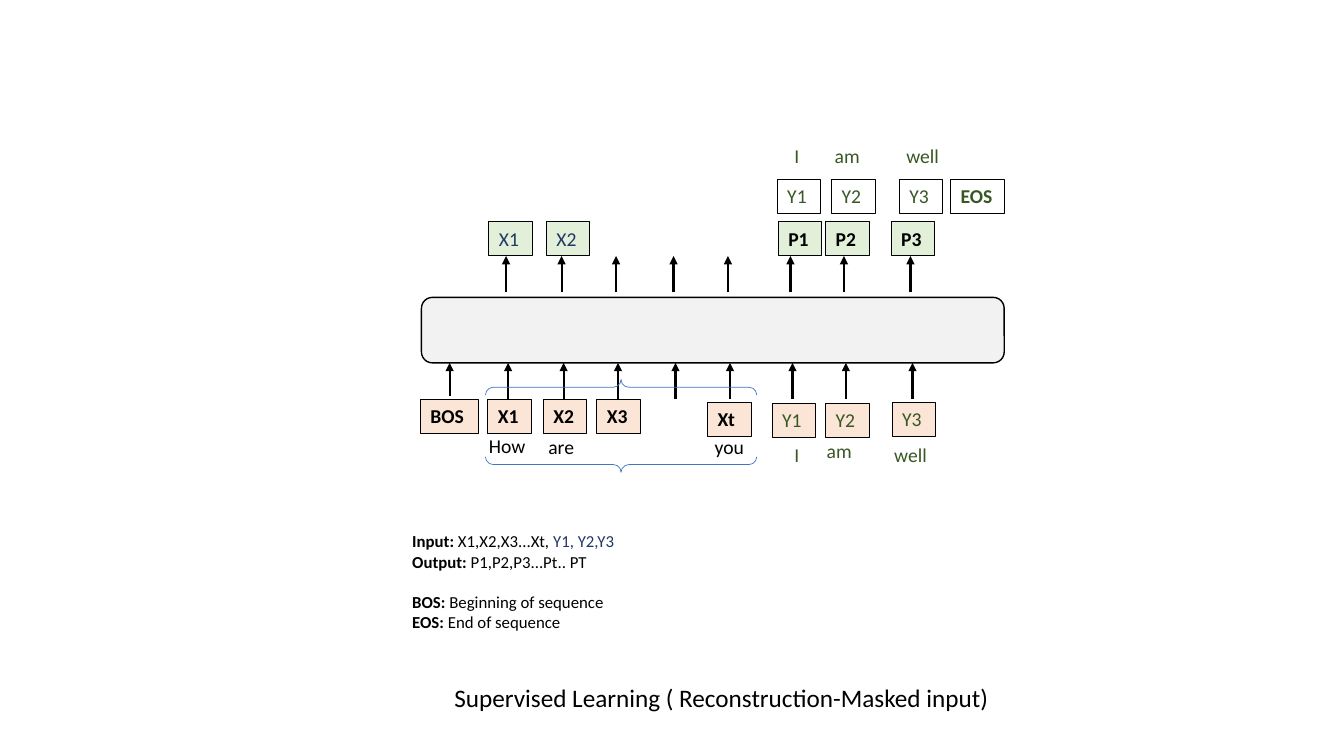
from dataclasses import dataclass
from typing import Optional

from lxml import etree
from pptx import Presentation
from pptx.dml.color import RGBColor
from pptx.enum.shapes import MSO_CONNECTOR, MSO_SHAPE
from pptx.enum.text import MSO_ANCHOR, MSO_AUTO_SIZE, PP_ALIGN
from pptx.oxml.ns import qn
from pptx.shapes.autoshape import Shape
from pptx.slide import Slide
from pptx.util import Inches, Pt

RECTANGLE = MSO_SHAPE.RECTANGLE
ROUNDED = MSO_SHAPE.ROUNDED_RECTANGLE
BRACES = MSO_SHAPE.DOUBLE_BRACE
STRAIGHT = MSO_CONNECTOR.STRAIGHT
LEFT, CENTER = PP_ALIGN.LEFT, PP_ALIGN.CENTER
TOP, MIDDLE = MSO_ANCHOR.TOP, MSO_ANCHOR.MIDDLE
NO_AUTOSIZE = MSO_AUTO_SIZE.NONE

BLACK = RGBColor(0x00, 0x00, 0x00)
WHITE = RGBColor(0xFF, 0xFF, 0xFF)
GRAY = RGBColor(0xF2, 0xF2, 0xF2)
PEACH = RGBColor(0xFB, 0xE5, 0xD6)
MINT = RGBColor(0xE2, 0xF0, 0xD9)
GREEN = RGBColor(0x38, 0x57, 0x23)
NAVY = RGBColor(0x1F, 0x38, 0x64)
BLUE = RGBColor(0x44, 0x72, 0xC4)

FONT = "Calibri"
TOKEN_WIDTH, TOKEN_HEIGHT = 0.43, 0.34
WORD_WIDTH = 0.58


@dataclass(frozen=True)
class Token:
    text: str
    left: float
    top: float
    fill: Optional[RGBColor]
    color: RGBColor = BLACK
    bold: bool = False
    width: float = TOKEN_WIDTH
    line: Optional[RGBColor] = BLACK


@dataclass(frozen=True)
class Definition:
    term: str
    meaning: str
    accent: str = ""
    space_before: float = 0


INPUT_TOKENS = [
    Token("BOS", 4.17, 3.96, PEACH, bold=True, width=0.58),
    Token("X1", 4.84, 3.96, PEACH, bold=True),
    Token("X2", 5.39, 3.96, PEACH, bold=True),
    Token("X3", 5.92, 3.96, PEACH, bold=True),
    Token("Xt", 7.02, 3.99, PEACH, bold=True),
    Token("Y1", 7.66, 4, PEACH, GREEN),
    Token("Y2", 8.19, 4, PEACH, GREEN),
    Token("Y3", 8.85, 3.99, PEACH, GREEN),
]
OUTPUT_TOKENS = [
    Token("X1", 4.85, 2.2, MINT, NAVY),
    Token("X2", 5.42, 2.2, MINT, NAVY),
    Token("P1", 7.72, 2.2, MINT, bold=True),
    Token("P2", 8.19, 2.2, MINT, bold=True),
    Token("P3", 8.84, 2.2, MINT, bold=True),
]
TARGET_TOKENS = [
    Token("Y1", 7.71, 1.78, None, GREEN),
    Token("Y2", 8.25, 1.78, None, GREEN),
    Token("Y3", 8.92, 1.78, None, GREEN),
    Token("EOS", 9.43, 1.78, WHITE, GREEN, True, 0.53),
]
WORDS = [
    Token("How", 4.75, 4.26, None, width=WORD_WIDTH, line=None),
    Token("are", 5.34, 4.27, None, width=WORD_WIDTH, line=None),
    Token("you", 6.99, 4.27, None, width=WORD_WIDTH, line=None),
    Token("I", 7.78, 4.34, None, GREEN, width=0.3, line=None),
    Token("am", 8.1, 4.31, None, GREEN, width=WORD_WIDTH, line=None),
    Token("well", 8.77, 4.34, None, GREEN, width=WORD_WIDTH, line=None),
    Token("I", 7.78, 1.38, None, GREEN, width=0.3, line=WHITE),
    Token("am", 8.18, 1.38, None, GREEN, width=WORD_WIDTH, line=WHITE),
    Token("well", 8.89, 1.38, None, GREEN, width=WORD_WIDTH, line=WHITE),
]
DEFINITIONS = [
    Definition("Input:", " X1,X2,X3...Xt, ", "Y1, Y2,Y3"),
    Definition("Output:", " P1,P2,P3...Pt.. PT"),
    Definition("BOS:", " Beginning of sequence", space_before=14.65),
    Definition("EOS:", " End of sequence"),
]
ARROW_CENTERS = [5.04, 5.59, 6.13, 6.7, 7.24, 7.86, 8.39, 9.05]
OUTPUT_SHIFT = -0.02


def add_outline(page: Slide, kind: MSO_SHAPE, left: float, top: float, width: float,
                height: float, fill: Optional[RGBColor], line: Optional[RGBColor],
                weight: float) -> Shape:
    box = page.shapes.add_shape(kind, Inches(left), Inches(top), Inches(width), Inches(height))
    box.shadow.inherit = False
    if fill is None:
        box.fill.background()
    else:
        box.fill.solid()
        box.fill.fore_color.rgb = fill
    if line is None:
        box.line.fill.background()
    else:
        box.line.color.rgb = line
        box.line.width = Pt(weight)
    return box


def add_token(page: Slide, token: Token) -> None:
    box = add_outline(page, RECTANGLE, token.left, token.top, token.width, TOKEN_HEIGHT,
                      token.fill, token.line, 0.75)
    frame = box.text_frame
    frame.word_wrap = True
    frame.margin_right = 0
    frame.vertical_anchor = TOP
    para = frame.paragraphs[0]
    para.text = token.text
    para.alignment = LEFT
    para.font.name = FONT
    para.font.size = Pt(14)
    para.font.bold = token.bold
    para.font.color.rgb = token.color


def add_arrow(page: Slide, center: float, bottom: float, tip: float) -> None:
    arrow = page.shapes.add_connector(STRAIGHT, Inches(center), Inches(bottom),
                                      Inches(center), Inches(tip))
    arrow.line.color.rgb = BLACK
    arrow.line.width = Pt(1.5)
    etree.SubElement(arrow.line._get_or_add_ln(), qn("a:tailEnd"), type="triangle")
    etree.SubElement(arrow._element.spPr, qn("a:effectLst"))


def add_definitions(page: Slide) -> None:
    box = page.shapes.add_textbox(Inches(3.99), Inches(5.22), Inches(4.21), Inches(1.11))
    frame = box.text_frame
    frame.word_wrap = True
    for index, definition in enumerate(DEFINITIONS):
        para = frame.paragraphs[0] if index == 0 else frame.add_paragraph()
        para.font.name = FONT
        para.font.size = Pt(12)
        if definition.space_before:
            para.space_before = Pt(definition.space_before)
        parts = [(definition.term, True, BLACK), (definition.meaning, False, BLACK),
                 (definition.accent, False, NAVY)]
        for text, bold, color in parts:
            if text:
                span = para.add_run()
                span.text = text
                span.font.bold = bold
                span.font.color.rgb = color


def set_title(page: Slide) -> None:
    title = page.shapes.title
    title.left, title.top = Inches(4.12), Inches(6.72)
    title.width, title.height = Inches(6.07), Inches(0.4)
    frame = title.text_frame
    frame.text = "Supervised Learning ( Reconstruction-Masked input)"
    frame.word_wrap = True
    frame.auto_size = NO_AUTOSIZE
    frame.vertical_anchor = MIDDLE
    para = frame.paragraphs[0]
    para.alignment = CENTER
    para.font.name = FONT
    para.font.size = Pt(18)
    para.font.color.rgb = BLACK


def main() -> None:
    deck = Presentation()
    deck.slide_width, deck.slide_height = Inches(13.33), Inches(7.5)
    page = deck.slides.add_slide(deck.slide_layouts[5])
    set_title(page)
    add_outline(page, ROUNDED, 4.18, 2.95, 5.78, 0.65, GRAY, BLACK, 1)
    add_arrow(page, 4.46, 3.93, 3.6)
    for center in ARROW_CENTERS:
        add_arrow(page, center, 3.96, 3.6)
        add_arrow(page, center + OUTPUT_SHIFT, 2.9, 2.54)
    for token in INPUT_TOKENS + OUTPUT_TOKENS + WORDS + TARGET_TOKENS:
        add_token(page, token)
    braces = add_outline(page, BRACES, 5.7, 2.88, 0.92, 2.69, None, BLUE, 0.5)
    braces.rotation = 270
    add_definitions(page)
    deck.save("out.pptx")


if __name__ == "__main__":
    main()
